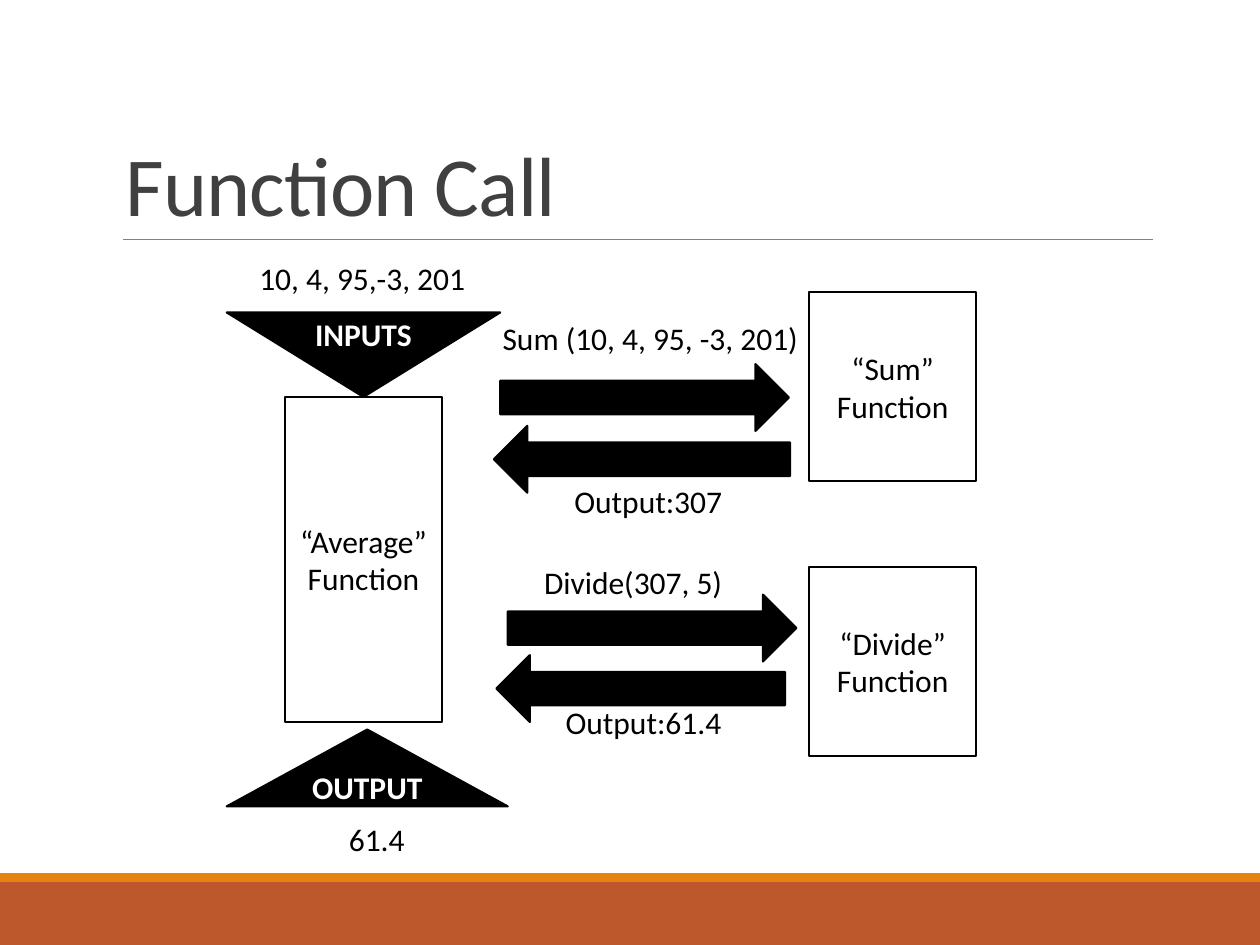
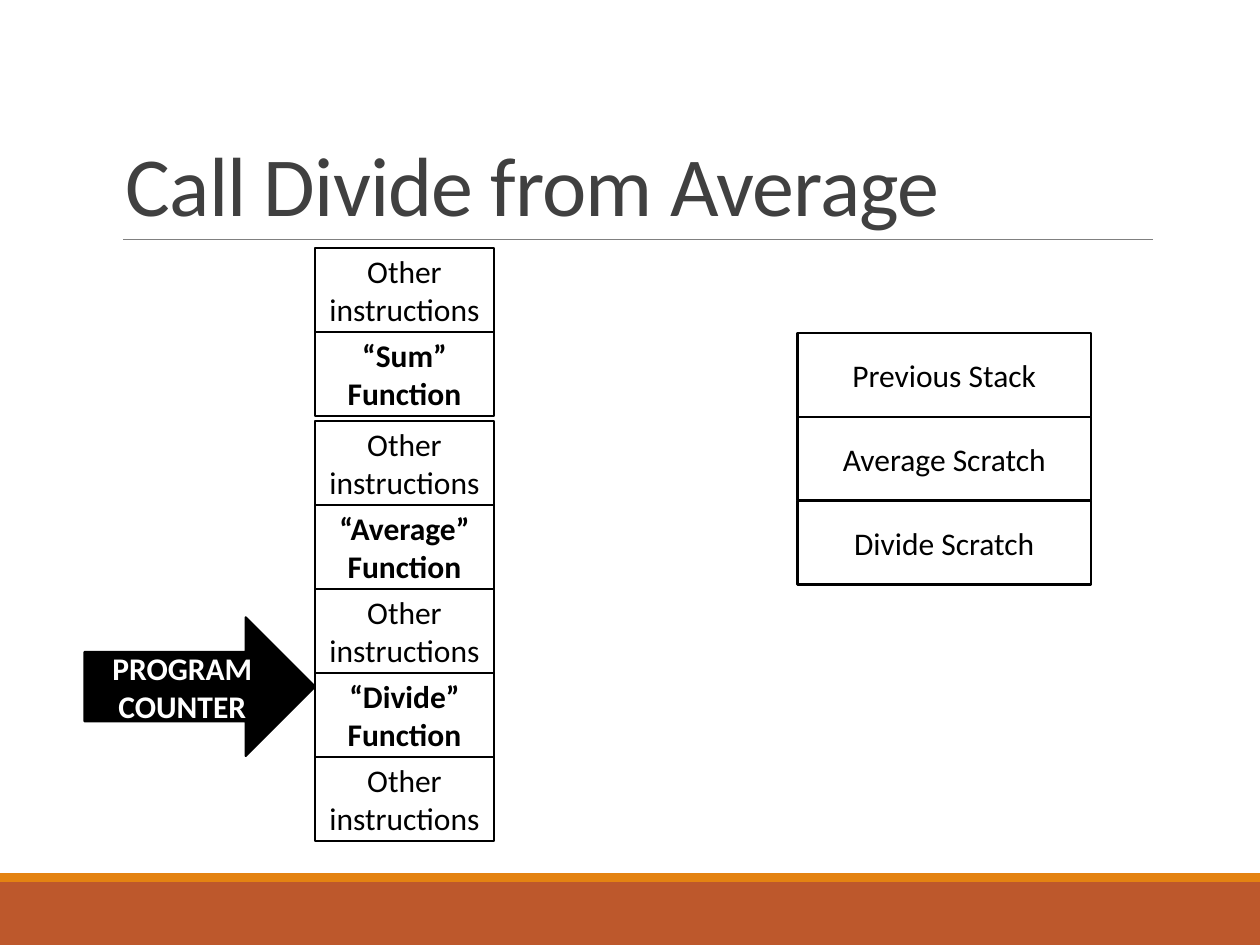
from pptx import Presentation
from pptx.dml.color import RGBColor
from pptx.enum.shapes import MSO_CONNECTOR, MSO_SHAPE
from pptx.enum.text import MSO_ANCHOR, PP_ALIGN
from pptx.oxml.ns import qn
from pptx.util import Inches, Pt
from lxml import etree

RECT = MSO_SHAPE.RECTANGLE
ARROW = MSO_SHAPE.RIGHT_ARROW
MERGE = MSO_SHAPE.FLOWCHART_MERGE
TRIANGLE = MSO_SHAPE.ISOSCELES_TRIANGLE
STRAIGHT = MSO_CONNECTOR.STRAIGHT
CENTER = PP_ALIGN.CENTER
MIDDLE = MSO_ANCHOR.MIDDLE
BOTTOM = MSO_ANCHOR.BOTTOM

BLACK = RGBColor(0x00, 0x00, 0x00)
WHITE = RGBColor(0xFF, 0xFF, 0xFF)
TITLE_GREY = RGBColor(0x40, 0x40, 0x40)
RULE_GREY = RGBColor(0x80, 0x80, 0x80)
RUST = RGBColor(0xBD, 0x58, 0x2C)
ORANGE = RGBColor(0xE4, 0x83, 0x12)

FONT = "Calibri"
CELL_HEIGHT = 2 / 3


def set_font(p, size, color, bold=False):
    p.font.name = FONT
    p.font.size = Pt(size)
    p.font.color.rgb = color
    p.font.bold = bold


def add_shape(slide, kind, x, y, w, h, fill, line=None):
    s = slide.shapes.add_shape(kind, Inches(x), Inches(y), Inches(w), Inches(h))
    s.shadow.inherit = False
    s.fill.solid()
    s.fill.fore_color.rgb = fill
    if line is None:
        s.line.fill.background()
    else:
        s.line.color.rgb = line
        s.line.width = Pt(1.25)
    return s


def write_centered(s, text, color, bold=False):
    tf = s.text_frame
    tf.word_wrap = True
    tf.vertical_anchor = MIDDLE
    p = tf.paragraphs[0]
    p.text = text
    p.alignment = CENTER
    set_font(p, 18, color, bold)


def add_box(slide, text, x, y, w, h, bold=False):
    write_centered(add_shape(slide, RECT, x, y, w, h, WHITE, BLACK),
                   text, BLACK, bold)


def add_marker(slide, kind, text, x, y, w, h):
    write_centered(add_shape(slide, kind, x, y, w, h, BLACK, BLACK),
                   text, WHITE, True)


def add_arrow(slide, x, y, w=2.29, back=False):
    s = add_shape(slide, ARROW, x, y, w, 0.53, BLACK, BLACK)
    if back:
        s.rotation = 180


def add_label(slide, text, x, y, w):
    tb = slide.shapes.add_textbox(Inches(x), Inches(y), Inches(w), Inches(0.4))
    tb.text_frame.word_wrap = False
    p = tb.text_frame.paragraphs[0]
    p.text = text
    set_font(p, 18, BLACK)


def add_stack(slide, x, top, w, cells):
    for i, (text, bold) in enumerate(cells):
        add_box(slide, text, x, top + i * CELL_HEIGHT, w, CELL_HEIGHT, bold)


def add_titled_slide(prs, title):
    slide = prs.slides.add_slide(prs.slide_layouts[6])
    # Footer bands
    add_shape(slide, RECT, 0, 7, 10, 0.5, RUST)
    add_shape(slide, RECT, 0, 6.93, 10, 0.07, ORANGE)
    # Rule under the title
    rule = slide.shapes.add_connector(STRAIGHT, Inches(0.98), Inches(1.9),
                                      Inches(9.15), Inches(1.9))
    rule.line.color.rgb = RULE_GREY
    rule.line.width = Pt(0.5)
    etree.SubElement(rule._element.spPr, qn("a:effectLst"))
    # Title
    tb = slide.shapes.add_textbox(Inches(0.9), Inches(0.31),
                                  Inches(8.25), Inches(1.59))
    tf = tb.text_frame
    tf.word_wrap = True
    tf.vertical_anchor = BOTTOM
    p = tf.paragraphs[0]
    r = p.add_run()
    r.text = title
    r._r.get_or_add_rPr().set("spc", "-50")
    p.line_spacing = 0.85
    set_font(p, 48, TITLE_GREY)
    return slide


def build_function_call(prs):
    slide = add_titled_slide(prs, "Function Call")
    # Functions
    add_box(slide, "“Average” Function", 2.26, 3.15, 1.25, 2.58)
    add_box(slide, "“Sum” Function", 6.42, 2.32, 1.33, 1.5)
    add_box(slide, "“Divide” Function", 6.42, 4.5, 1.33, 1.5)
    # Inputs and output of the average
    add_marker(slide, MERGE, "INPUTS", 1.8, 2.48, 2.17, 0.67)
    add_label(slide, "10, 4, 95,-3, 201", 1.96, 2.01, 1.86)
    add_marker(slide, TRIANGLE, "OUTPUT", 1.8, 5.79, 2.23, 0.61)
    add_label(slide, "61.4", 2.67, 6.46, 0.65)
    # Call to sum and its return
    add_arrow(slide, 3.97, 2.89)
    add_label(slide, "Sum (10, 4, 95, -3, 201)", 3.89, 2.48, 2.58)
    add_arrow(slide, 3.92, 3.38, 2.35, back=True)
    add_label(slide, "Output:307", 4.46, 3.78, 1.45)
    # Call to divide and its return
    add_arrow(slide, 4.03, 4.72)
    add_label(slide, "Divide(307, 5)", 4.22, 4.42, 1.63)
    add_arrow(slide, 3.94, 5.2, back=True)
    add_label(slide, "Output:61.4", 4.39, 5.53, 1.51)


def build_call_divide(prs):
    slide = add_titled_slide(prs, "Call Divide from Average")
    other = ("Other instructions", False)
    # Program memory
    add_stack(slide, 2.5, 1.97, 1.42, [other, ("“Sum” Function", True)])
    add_stack(slide, 2.5, 3.34, 1.42, [
        other, ("“Average” Function", True),
        other, ("“Divide” Function", True), other])
    add_marker(slide, ARROW, "PROGRAM COUNTER", 0.67, 4.9, 1.83, 1.1)
    # Call stack
    add_stack(slide, 6.33, 2.64, 2.33, [
        ("Previous Stack", False), ("Average Scratch", False),
        ("Divide Scratch", False)])


def main():
    prs = Presentation()
    prs.slide_width = Inches(10)
    prs.slide_height = Inches(7.5)
    build_function_call(prs)
    build_call_divide(prs)
    prs.save("out.pptx")


if __name__ == "__main__":
    main()
